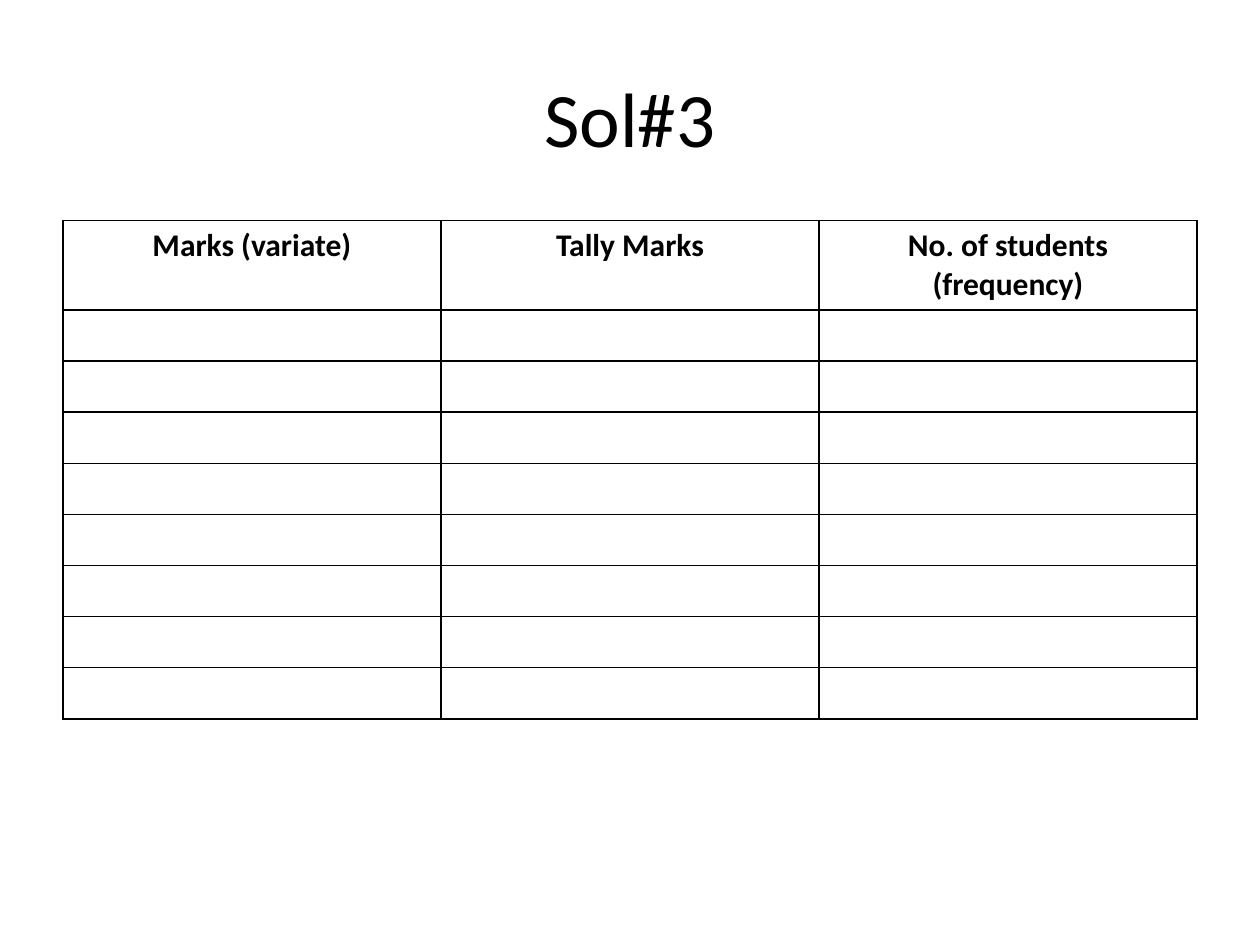
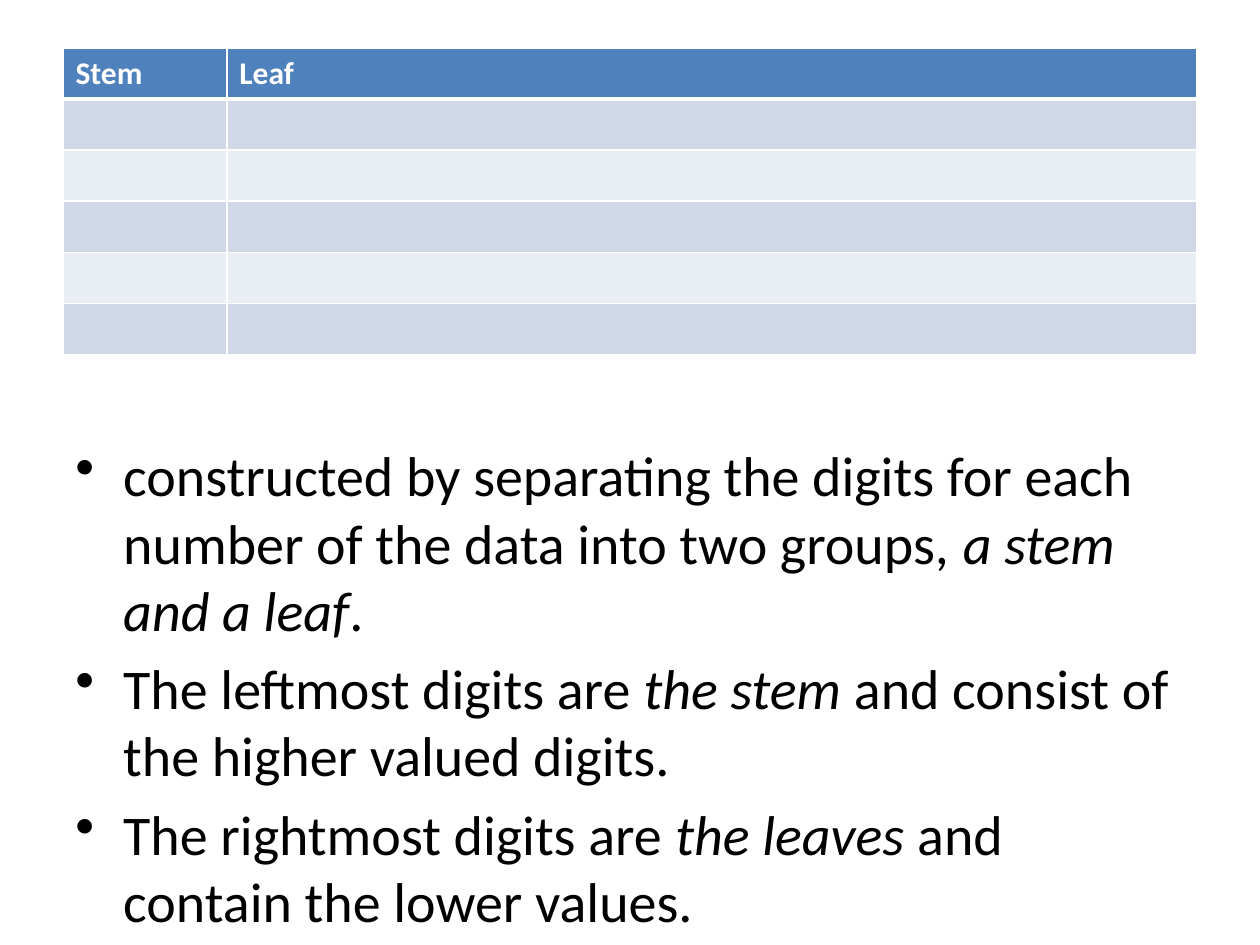
"""Build two statistics slides: a tally table and a stem-and-leaf table."""
from dataclasses import dataclass

from lxml import etree
from pptx import Presentation
from pptx import util as u
from pptx.dml.color import RGBColor
from pptx.enum import text
from pptx.oxml.ns import qn


@dataclass(frozen=True)
class Theme:
    """Colours, font, type sizes and shared measures."""
    font: str = "Calibri"
    ink: str = "000000"
    paper: str = "FFFFFF"
    header: str = "4F81BD"
    bands: tuple = ("D0D8E8", "E9EDF4")
    title_size: int = 44
    body_size: int = 32
    table_size: int = 18
    margin: float = 0.5
    width: float = 9
    row_height: float = 0.4
    hanging: float = 0.38


@dataclass(frozen=True)
class TableStyle:
    """Look of one table; fills of None leave the cells clear."""
    text_colour: str
    line_colour: str
    align: text.PP_ALIGN
    header_fill: str = None
    band_fills: tuple = (None,)
    header_rule: float = 1


class SlideWriter:
    """Holds the theme and the current page, and draws elements on it."""

    def __init__(self, deck, theme):
        self.deck = deck
        self.theme = theme
        self.page = None

    def start(self, title=None):
        """Add a page, with a title when one is given."""
        self.page = self.deck.slides.add_slide(
            self.deck.slide_layouts[6 if title is None else 5])
        if title is not None:
            box = self.page.shapes.title
            self.place(box, 0.3, 1.25)
            box.text_frame.vertical_anchor = text.MSO_ANCHOR.MIDDLE
            para = box.text_frame.paragraphs[0]
            para.text = title
            para.alignment = text.PP_ALIGN.CENTER
            self.set_font(para, self.theme.title_size, self.theme.ink)

    def place(self, box, top, height):
        """Set a box across the content width."""
        box.left, box.width = u.Inches(self.theme.margin), u.Inches(self.theme.width)
        box.top, box.height = u.Inches(top), u.Inches(height)

    def set_font(self, para, size, colour, bold=False):
        """Set the font of a whole paragraph."""
        para.font.name = self.theme.font
        para.font.size = u.Pt(size)
        para.font.bold = bold
        para.font.color.rgb = RGBColor.from_string(colour)

    def border(self, cell, edge, colour, weight):
        """Draw one edge (L, R, T or B) of a table cell."""
        line = etree.SubElement(cell._tc.get_or_add_tcPr(), qn(f"a:ln{edge}"),
                                w=str(u.Pt(weight)))
        fill = etree.SubElement(line, qn("a:solidFill"))
        etree.SubElement(fill, qn("a:srgbClr"), val=colour)

    def table(self, top, widths, headings, blank_rows, style):
        """Add a table with a heading row above blank rows."""
        rows = blank_rows + 1
        height = self.theme.row_height
        grid = self.page.shapes.add_table(
            rows, len(widths), u.Inches(self.theme.margin), u.Inches(top),
            u.Inches(self.theme.width), u.Inches(rows * height)).table
        grid.first_row = grid.horz_banding = False
        for column, width in zip(grid.columns, widths):
            column.width = u.Inches(width)
        for index, row in enumerate(grid.rows):
            row.height = u.Inches(height)
            fill = (style.band_fills[(index - 1) % len(style.band_fills)]
                    if index else style.header_fill)
            weights = {"L": 1, "R": 1,
                       "T": style.header_rule if index == 1 else 1,
                       "B": style.header_rule if index == 0 else 1}
            for cell, heading in zip(row.cells, headings):
                for edge, weight in weights.items():
                    self.border(cell, edge, style.line_colour, weight)
                if fill:
                    cell.fill.solid()
                    cell.fill.fore_color.rgb = RGBColor.from_string(fill)
                else:
                    cell.fill.background()
                if index == 0:
                    para = cell.text_frame.paragraphs[0]
                    para.text = heading
                    para.alignment = style.align
                    self.set_font(para, self.theme.table_size,
                                  style.text_colour, bold=True)

    def bullets(self, top, height, items):
        """Add bulleted paragraphs; each is (plain, italic, plain)."""
        box = self.page.shapes.add_textbox(0, 0, 0, 0)
        self.place(box, top, height)
        frame = box.text_frame
        frame.word_wrap = True
        indent = u.Inches(self.theme.hanging)
        for index, parts in enumerate(items):
            para = frame.add_paragraph() if index else frame.paragraphs[0]
            para.space_before = u.Pt(0.2 * self.theme.body_size)
            self.set_font(para, self.theme.body_size, self.theme.ink)
            props = para._p.get_or_add_pPr()
            props.set("marL", str(indent))
            props.set("indent", str(-indent))
            bullet = etree.Element(qn("a:buChar"), char="•")
            props.find(qn("a:spcBef")).addnext(bullet)
            for position, words in enumerate(parts):
                span = para.add_run()
                span.text = words
                if position == 1:
                    span.font.italic = True


def main():
    """Build and save the deck."""
    deck = Presentation()
    deck.slide_width, deck.slide_height = u.Inches(10), u.Inches(7.5)
    theme = Theme()
    writer = SlideWriter(deck, theme)

    ruled = TableStyle(theme.ink, theme.ink, text.PP_ALIGN.CENTER)
    banded = TableStyle(theme.paper, theme.paper, text.PP_ALIGN.LEFT,
                        theme.header, theme.bands, header_rule=3)

    writer.start("Sol#3")
    writer.table(1.75, (3, 3, 3),
                 ("Marks (variate)", "Tally Marks", "No. of students (frequency)"),
                 8, ruled)

    writer.start()
    writer.table(0.38, (1.3, 7.7), ("Stem", "Leaf"), 5, banded)
    writer.bullets(3.45, 4.09, (
        ("constructed by separating the digits for each number of the data "
         "into two groups, ", "a stem and a leaf", "."),
        ("The leftmost digits are ", "the stem",
         " and consist of the higher valued digits."),
        ("The rightmost digits are ", "the leaves ",
         "and contain the lower values."),
    ))
    deck.save("out.pptx")


main()
